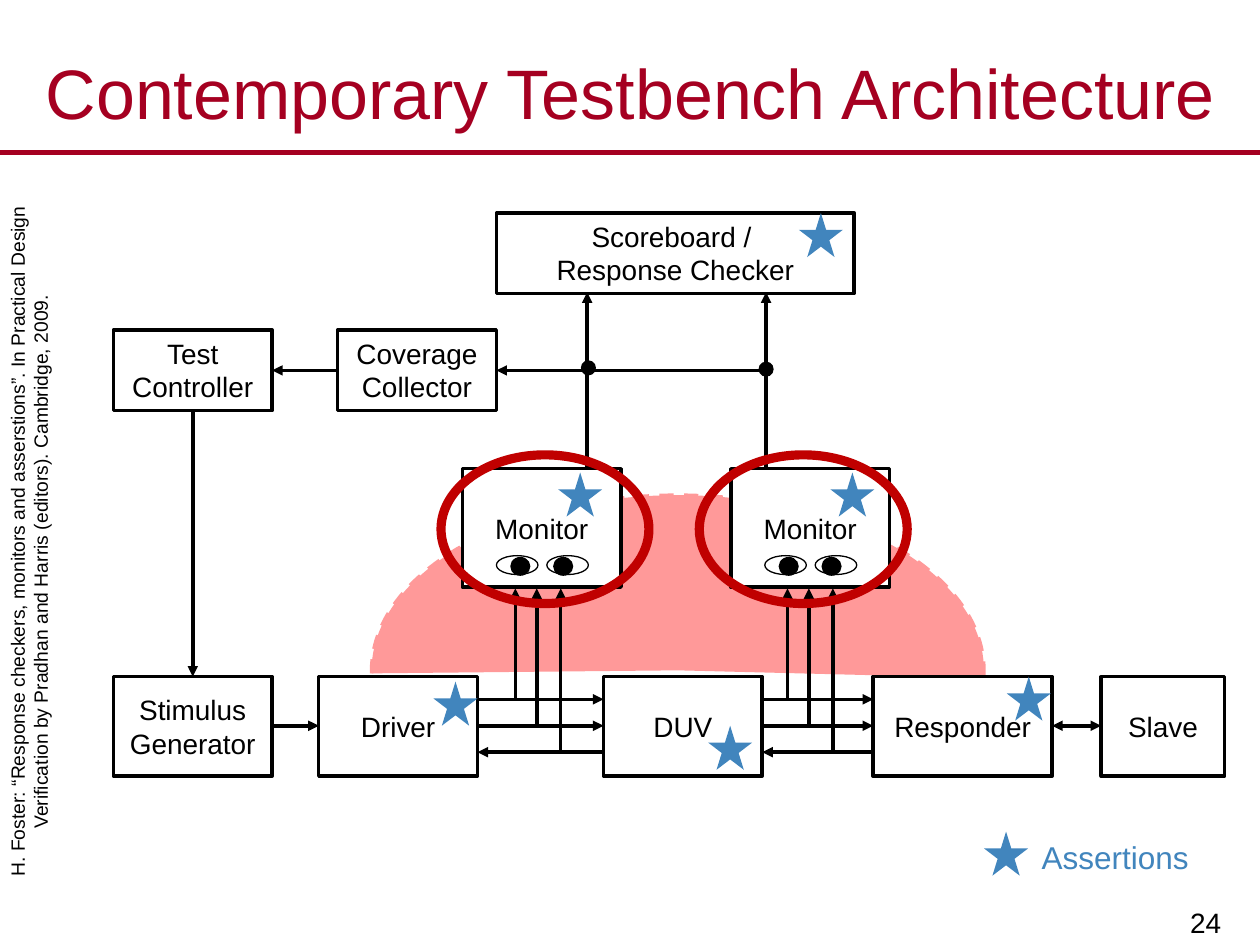
from lxml import etree
from pptx import Presentation
from pptx.dml.color import RGBColor
from pptx.enum.dml import MSO_LINE
from pptx.enum.shapes import MSO_CONNECTOR, MSO_SHAPE
from pptx.enum.text import MSO_ANCHOR, PP_ALIGN
from pptx.oxml.ns import qn
from pptx.util import Inches, Pt

RECT, OVAL, STAR, ARC = (MSO_SHAPE.RECTANGLE, MSO_SHAPE.OVAL,
                         MSO_SHAPE.STAR_5_POINT, MSO_SHAPE.ARC)
STRAIGHT = MSO_CONNECTOR.STRAIGHT
TOP, MIDDLE, BOTTOM = MSO_ANCHOR.TOP, MSO_ANCHOR.MIDDLE, MSO_ANCHOR.BOTTOM
LEFT, CENTER, RIGHT = PP_ALIGN.LEFT, PP_ALIGN.CENTER, PP_ALIGN.RIGHT

BLACK = RGBColor(0x00, 0x00, 0x00)
WHITE = RGBColor(0xFF, 0xFF, 0xFF)
CRIMSON = RGBColor(0xA5, 0x00, 0x21)
RED = RGBColor(0xC0, 0x00, 0x00)
PINK = RGBColor(0xFF, 0x99, 0x99)
BLUE = RGBColor(0x41, 0x85, 0xBD)

# Content
TITLE = "Contemporary Testbench Architecture"
CITATION = ("H. Foster: “Response checkers, monitors and asserstions”. "
            "In Practical Design Verification by Pradhan and Harris (editors). "
            "Cambridge, 2009.")
UPPER_HEIGHT = 0.64
UPPER_BLOCKS = [  # text lines, left, top, width
    (["Test Controller"], 0.9, 2.62, 1.26),
    (["Scoreboard / ", "Response Checker"], 3.94, 1.69, 2.84),
    (["Coverage Collector"], 2.68, 2.62, 1.26),
]
LOWER_TOP, LOWER_HEIGHT = 5.37, 0.79
LOWER_BLOCKS = [  # text, left, width
    ("Slave", 8.74, 0.98),
    ("DUV", 4.79, 1.26),
    ("Stimulus Generator", 0.9, 1.26),
    ("Driver", 2.53, 1.26),
    ("Responder", 6.93, 1.42),
]
MONITOR_LEFTS = [3.67, 5.8]
MONITOR_TOP, MONITOR_WIDTH, MONITOR_HEIGHT = 3.72, 1.26, 0.94
EYES = [(0.27, 0.38), (0.67, 0.72)]  # offsets of eye and pupil in a monitor
RING_LEFTS = [3.5, 5.55]
SIGNAL_YS = [5.55, 5.76, 5.97]
TAP_STEPS = [0, 0.17, 0.36]
INTERFACES = [(3.79, 4.79, 4.09), (6.05, 6.93, 6.25)]  # left, right, first tap
ARROWS = [  # start, end, arrowhead at start as well
    ((1.53, 3.26), (1.53, 5.37), False),
    ((2.16, 5.76), (2.53, 5.76), False),
    ((8.35, 5.76), (8.74, 5.76), True),
    ((2.68, 2.94), (2.16, 2.94), False),
    ((4.66, 3.72), (4.66, 2.32), False),
    ((6.08, 3.72), (6.08, 2.32), False),
    ((6.08, 2.94), (3.94, 2.94), False),
]
JUNCTIONS = [(4.61, 2.86), (6.02, 2.87)]
STARS = [(6.59, 3.75), (6.34, 1.69), (4.43, 3.75), (3.44, 5.41),
         (5.62, 5.76), (7.99, 5.37), (7.81, 6.6)]

deck = Presentation()
deck.slide_width, deck.slide_height = Inches(10), Inches(7.5)
slide = deck.slides.add_slide(deck.slide_layouts[6])


def write(box, lines, size=16, color=BLACK, align=CENTER, anchor=MIDDLE, hanging=0):
    frame = box.text_frame
    frame.word_wrap = True
    frame.vertical_anchor = anchor
    for index, text in enumerate(lines):
        para = frame.add_paragraph() if index else frame.paragraphs[0]
        para.alignment = align
        if hanging:
            properties = para._p.get_or_add_pPr()
            properties.set("marL", str(Inches(hanging)))
            properties.set("indent", str(-Inches(hanging)))
        span = para.add_run()
        span.text = text
        span.font.name, span.font.size = "Arial", Pt(size)
        span.font.color.rgb = color


def add_text(text, left, top, width, height, **style):
    box = slide.shapes.add_textbox(*map(Inches, (left, top, width, height)))
    write(box, [text], **style)
    return box


def add_part(kind, left, top, width, height, fill=None, line=None, weight=2):
    part = slide.shapes.add_shape(kind, *map(Inches, (left, top, width, height)))
    part.shadow.inherit = False
    if fill is None:
        part.fill.background()
    else:
        part.fill.solid()
        part.fill.fore_color.rgb = fill
    if line is None:
        part.line.fill.background()
    else:
        part.line.color.rgb = line
        part.line.width = Pt(weight)
    return part


def add_line(start, end, color=BLACK, weight=2, ends=("tailEnd",)):
    line = slide.shapes.add_connector(STRAIGHT, *map(Inches, (*start, *end)))
    line.line.color.rgb = color
    line.line.width = Pt(weight)
    outline = line.line._get_or_add_ln()
    for end_name in ends:
        etree.SubElement(outline, qn(f"a:{end_name}"), type="triangle")
    etree.SubElement(line._element.spPr, qn("a:effectLst"))


# Frame of the slide: rule, number, title and citation
add_line((0, 1.21), (10, 1.21), color=CRIMSON, weight=3, ends=())
add_text("24", 7.8, 6.93, 1.99, 0.57, align=RIGHT, anchor=BOTTOM)

# Shaded region behind the monitors
region = add_part(ARC, 3.99, 2.89, 2.78, 4.86, fill=PINK, line=PINK)
region.rotation = 270
region.line.dash_style = MSO_LINE.DASH
region.adjustments[0], region.adjustments[1] = 161.66, 54.86

add_text(TITLE, 0, 0.3, 10, 0.86, size=40, color=CRIMSON)
citation = add_text(CITATION, -2.72, 3.79, 5.98, 0.55, size=11, align=LEFT,
                    anchor=TOP, hanging=0.38)
citation.rotation = 270

# Blocks
for lines, left, top, width in UPPER_BLOCKS:
    write(add_part(RECT, left, top, width, UPPER_HEIGHT, line=BLACK), lines, anchor=TOP)
for text, left, width in LOWER_BLOCKS:
    write(add_part(RECT, left, LOWER_TOP, width, LOWER_HEIGHT, line=BLACK), [text])

# Monitors with their eyes
for left in MONITOR_LEFTS:
    monitor = add_part(RECT, left, MONITOR_TOP, MONITOR_WIDTH, MONITOR_HEIGHT,
                       fill=WHITE, line=BLACK)
    write(monitor, ["Monitor"])
    for eye, pupil in EYES:
        add_part(OVAL, left + eye, MONITOR_TOP + 0.69, 0.33, 0.15,
                 fill=WHITE, line=BLACK, weight=0.75)
        add_part(OVAL, left + pupil, MONITOR_TOP + 0.7, 0.16, 0.15, fill=BLACK)

# Arrows between blocks
for start, end, both in ARROWS:
    add_line(start, end, ends=("headEnd", "tailEnd") if both else ("tailEnd",))

# Interface signals, the last one running back, each tapped by a monitor
for left, right, first_tap in INTERFACES:
    for y, step in zip(SIGNAL_YS, TAP_STEPS):
        start, end = (left, y), (right, y)
        if y == SIGNAL_YS[-1]:
            start, end = end, start
        add_line(start, end)
        add_line((first_tap + step, y), (first_tap + step, 4.67))

# Junction dots, assertion stars with their key, and rings
for left, top in JUNCTIONS:
    add_part(OVAL, left, top, 0.12, 0.12, fill=BLACK)
for left, top in STARS:
    add_part(STAR, left, top, 0.35, 0.35, fill=BLUE)
add_text("Assertions", 7.99, 6.6, 1.72, 0.4, size=18, color=BLUE, anchor=TOP)
for left in RING_LEFTS:
    add_part(OVAL, left, 3.61, 1.65, 1.18, line=RED, weight=5.25)

deck.save("out.pptx")
